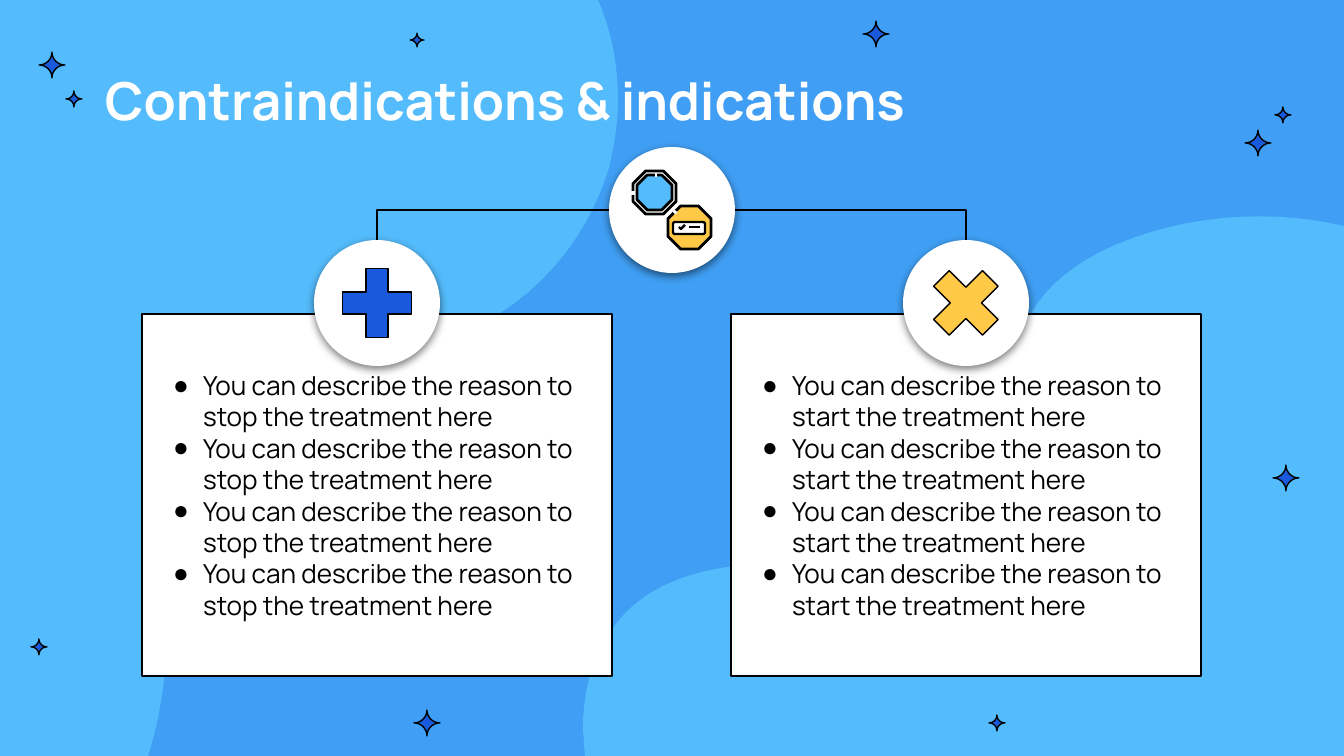
from pptx import Presentation, util as u
from pptx.dml.color import RGBColor
from pptx.enum import shapes as s, text as t
from pptx.oxml import parse_xml
from pptx.oxml.ns import nsdecls, qn

SCALE = 914400 / 134.4
FONT = "Manrope"
BLACK, WHITE = "000000", "FFFFFF"
SKY, BLUE, GOLD = "54BCFC", "185ADB", "FFC947"
KIND = s.MSO_SHAPE

LEFT_BLOB = [
    (598, 0), (612, 32, 618, 66, 618, 101), (618, 124, 614, 146, 609, 168),
    (587, 241, 534, 302, 465, 332), (392, 364, 302, 363, 243, 415),
    (184, 469, 176, 556, 169, 636), (165, 676, 161, 716, 148, 756), (0, 756)]
RIGHT_BLOB = [
    (583, 682, 598, 636, 634, 605), (669, 575, 718, 566, 765, 563),
    (810, 562, 857, 566, 903, 555), (949, 546, 995, 519, 1009, 474),
    (1016, 458, 1017, 441, 1017, 423), (1017, 410, 1016, 396, 1016, 383),
    (1016, 367, 1017, 352, 1021, 337), (1036, 286, 1086, 254, 1136, 237),
    (1201, 214, 1275, 210, 1344, 226), (1344, 756), (585, 756)]
STARS = [
    (997, 723, 8), (74, 99, 8), (52, 65, 13), (1258, 143, 13), (1283, 115, 8),
    (1286, 478, 13), (39, 647, 8), (417, 40, 7), (876, 34, 13), (427, 723, 13)]


def px(n):
    return u.Emu(round(n * SCALE))


def rgb(code):
    return RGBColor.from_string(code)


def paint(shape, fill, line=None, width=0.75):
    shape.shadow.inherit = False
    if fill:
        shape.fill.solid()
        shape.fill.fore_color.rgb = rgb(fill)
    else:
        shape.fill.background()
    if line:
        shape.line.color.rgb = rgb(line)
        shape.line.width = u.Pt(width)
    else:
        shape.line.fill.background()
    return shape


def add_form(slide, kind, box, fill, line=None, width=0.75):
    shape = slide.shapes.add_shape(kind, *map(px, box))
    return paint(shape, fill, line, width)


def add_path(slide, start, steps, close=True):
    """Draw an outline; a step is a line (x, y) or a cubic curve of six numbers."""
    pts, last = [], start
    for step in steps:
        if len(step) == 2:
            pts.append(step)
        else:
            a, b, end = step[:2], step[2:4], step[4:]
            for i in range(1, 13):
                f = i / 12
                g = 1 - f
                pts.append(tuple(
                    g**3 * p + 3 * g * g * f * q + 3 * g * f * f * r + f**3 * e
                    for p, q, r, e in zip(last, a, b, end)))
        last = step[-2:]
    form = slide.shapes.build_freeform(px(start[0]), px(start[1]), scale=1.0)
    form.add_line_segments([(px(x), px(y)) for x, y in pts], close=close)
    return form.convert_to_shape()


def add_star(slide, x, y, r):
    k = 0.45 * r
    tips = [(0, -1), (-1, 0), (0, 1), (1, 0), (0, -1)]
    steps = [(x + k * a, y + k * b, x + k * c, y + k * d, x + r * c, y + r * d)
             for (a, b), (c, d) in zip(tips, tips[1:])]
    paint(add_path(slide, (x, y - r), steps), BLUE, BLACK)


def add_line(slide, ends, color=BLACK, width=0.75, bent=False):
    kind = s.MSO_CONNECTOR.ELBOW if bent else s.MSO_CONNECTOR.STRAIGHT
    line = slide.shapes.add_connector(kind, *map(px, ends))
    line.line.color.rgb = rgb(color)
    line.line.width = u.Pt(width)
    props = line.element.spPr
    if bent:
        props.find(qn("a:prstGeom")).set("prst", "bentConnector2")
    props.append(parse_xml(f"<a:effectLst {nsdecls('a')}/>"))


def add_disc(slide, x, y):
    disc = add_form(slide, KIND.OVAL, (x - 63, y - 63, 126, 126), WHITE)
    disc.element.spPr.find(qn("a:effectLst")).append(parse_xml(
        f'<a:outerShdw {nsdecls("a")} blurRad="{u.Pt(4.5)}" dist="{u.Pt(1.5)}" '
        'dir="5400000" algn="bl" rotWithShape="0"><a:srgbClr val="000000">'
        '<a:alpha val="50000"/></a:srgbClr></a:outerShdw>'))


def add_sign(slide, kind, x, y, fill):
    sign = add_form(slide, kind, (x - 47, y - 47, 94, 94), fill, BLACK)
    sign.adjustments[0] = 0.235


def set_frame(holder, box, pads, anchor):
    """Move a placeholder to the front and format its text frame."""
    holder.element.getparent().append(holder.element)
    holder.left, holder.top, holder.width, holder.height = map(px, box)
    frame = holder.text_frame
    frame.word_wrap = True
    frame.auto_size = t.MSO_AUTO_SIZE.NONE
    frame.vertical_anchor = anchor
    frame.margin_left = frame.margin_right = px(pads[0])
    frame.margin_top = frame.margin_bottom = px(pads[1])
    return frame


def add_run(para, words, size, color, bold=False):
    para.alignment = t.PP_ALIGN.LEFT
    para.space_before = para.space_after = u.Pt(0)
    run = para.add_run()
    run.text = words
    run.font.name = FONT
    run.font.size = u.Pt(size)
    run.font.bold = bold
    run.font.color.rgb = rgb(color)


def fill_card(holder, x, verb):
    frame = set_frame(holder, (x, 314, 470, 362), (27, 13), t.MSO_ANCHOR.MIDDLE)
    paint(holder, WHITE, BLACK)
    for i in range(4):
        para = frame.add_paragraph() if i else frame.paragraphs[0]
        add_run(para, f"You can describe the reason to {verb} the treatment here",
                14, BLACK)
        props = para._p.get_or_add_pPr()
        props.set("marL", str(px(34)))
        props.set("indent", str(px(-30)))
        for tag in (f'<a:buClr {nsdecls("a")}><a:srgbClr val="{BLACK}"/></a:buClr>',
                    f'<a:buChar {nsdecls("a")} char="●"/>'):
            props.append(parse_xml(tag))


def add_icon(slide):
    for x, y, size, fill in ((633, 171, 43, WHITE), (637, 175, 35, SKY),
                             (668, 206, 43, GOLD)):
        add_form(slide, KIND.OCTAGON, (x, y, size, size), fill, BLACK, 1.5)
    for gap in ((633, 191, 633, 195), (655, 175, 657, 175), (674, 213, 676, 211)):
        add_line(slide, gap, WHITE, 2)
    add_form(slide, KIND.ROUNDED_RECTANGLE, (673, 222, 32, 12), WHITE, BLACK, 1.25)
    add_line(slide, (689, 227, 700, 227), BLACK, 1.25)
    check = add_path(slide, (679, 227), [(681, 229), (685, 225)], close=False)
    paint(check, None, BLACK, 1.25)


def main():
    deck = Presentation()
    deck.slide_width, deck.slide_height = px(1344), px(756)
    slide = deck.slides.add_slide(deck.slide_layouts[3])
    title, left, right = slide.placeholders
    slide.background.fill.solid()
    slide.background.fill.fore_color.rgb = rgb("409FF4")

    paint(add_path(slide, (0, 0), LEFT_BLOB), SKY)
    paint(add_path(slide, (583, 728), RIGHT_BLOB), SKY)
    for star in STARS:
        add_star(slide, *star)

    add_disc(slide, 672, 210)
    frame = set_frame(title, (105, 68, 1134, 68), (0, 0), t.MSO_ANCHOR.TOP)
    add_run(frame.paragraphs[0], "Contraindications & indications", 28, WHITE, True)
    fill_card(left, 142, "stop")
    fill_card(right, 731, "start")
    add_icon(slide)

    for edge, x, kind, fill in ((609, 377, KIND.MATH_PLUS, BLUE),
                                (735, 966, KIND.MATH_MULTIPLY, GOLD)):
        add_line(slide, (edge, 210, x, 240), bent=True)
        add_disc(slide, x, 303)
        add_sign(slide, kind, x, 303, fill)
    deck.save("out.pptx")


if __name__ == "__main__":
    main()
